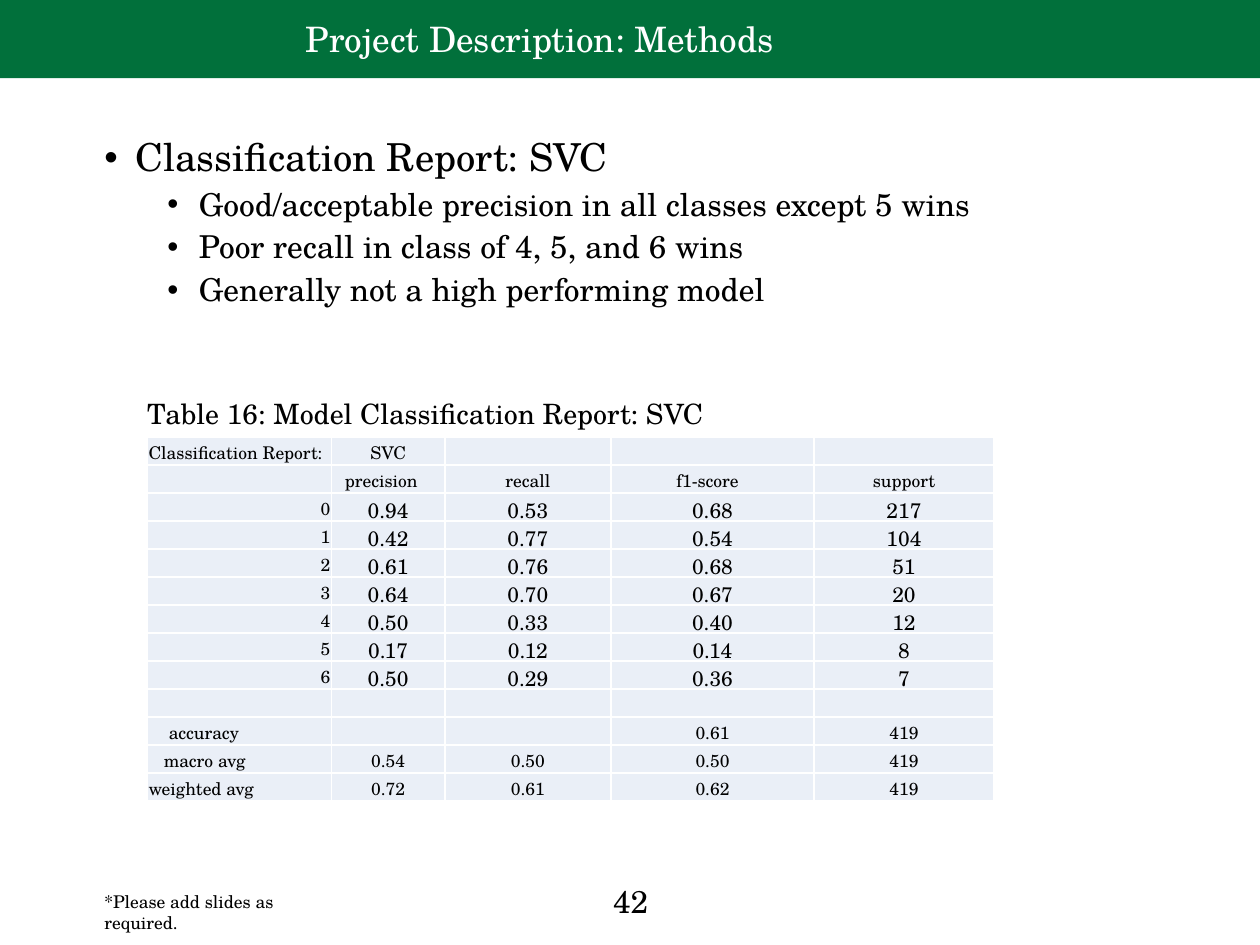
from dataclasses import dataclass

from lxml.etree import SubElement
from pptx import Presentation
from pptx.dml.color import RGBColor as Color
from pptx.enum.shapes import MSO_SHAPE as Shape
from pptx.enum.text import MSO_ANCHOR as Anchor, PP_ALIGN as Align
from pptx.oxml.ns import qn
from pptx.util import Inches, Pt


@dataclass(frozen=True)
class Theme:
    font: str = "TeX Gyre Schola"
    green: Color = Color(0x01, 0x70, 0x3B)
    cell: Color = Color(0xEA, 0xEF, 0xF7)
    white: Color = Color(0xFF, 0xFF, 0xFF)
    black: Color = Color(0, 0, 0)
    title: int = 20
    heading: int = 22
    body: int = 18
    caption: int = 16
    score: int = 12
    small: int = 10


theme = Theme()
deck = Presentation()
deck.slide_width, deck.slide_height = Inches(10), Inches(7.5)
page = deck.slides.add_slide(deck.slide_layouts[6])


def area(left, top, width, height):
    """Turn percentages of the slide's width and height into lengths."""
    across, down = deck.slide_width / 100, deck.slide_height / 100
    return [int(left * across), int(top * down), int(width * across), int(height * down)]


def write(para, text, size, color=theme.black, align=Align.LEFT):
    para.text = text
    para.alignment = align
    for span in para.runs:
        span.font.name = theme.font
        span.font.size = Pt(size)
        span.font.color.rgb = color


# Header band
band = page.shapes.add_shape(Shape.RECTANGLE, *area(0, 0, 100, 8.27))
band.shadow.inherit = False
band.fill.solid()
band.fill.fore_color.rgb = theme.green
band.line.fill.background()

# Single-line texts: place, wording, size, colour, alignment, anchor
texts = [
    ((23.3, 0.13, 76.7, 7.87), "Project Description: Methods",
     theme.title, theme.white, Align.LEFT, Anchor.MIDDLE),
    ((38.8, 92.67, 22.5, 5.33), "42",
     theme.body, theme.black, Align.CENTER, Anchor.TOP),
    ((7.3, 93.6, 20.8, 3.6), "*Please add slides as required.",
     theme.small, theme.black, Align.LEFT, Anchor.TOP),
    ((10.7, 41.33, 69.2, 4.93), "Table 16: Model Classification Report: SVC",
     theme.caption, theme.black, Align.LEFT, Anchor.TOP),
]
for place, text, size, color, align, anchor in texts:
    box = page.shapes.add_textbox(*area(*place))
    box.text_frame.word_wrap = True
    box.text_frame.vertical_anchor = anchor
    write(box.text_frame.paragraphs[0], text, size, color, align)

# Bulleted findings
findings = [
    (0, "Classification Report: SVC"),
    (1, "Good/acceptable precision in all classes except 5 wins"),
    (1, "Poor recall in class of 4, 5, and 6 wins"),
    (1, "Generally not a high performing model"),
]
frame = page.shapes.add_textbox(*area(7.3, 14, 86.7, 74.4)).text_frame
frame.word_wrap = True
for index, (level, text) in enumerate(findings):
    para = frame.add_paragraph() if index else frame.paragraphs[0]
    para.level = level
    para.line_spacing = 0.9
    para.space_before = Pt(5 if index else 0)
    properties = para._p.get_or_add_pPr()
    properties.set("marL", str(Inches(0.25 + 0.5 * level)))
    properties.set("indent", str(Inches(-0.25)))
    SubElement(properties, qn("a:buFont"), typeface="Arial")
    SubElement(properties, qn("a:buChar"), char="•")
    write(para, text, theme.body if level else theme.heading)

# Classification report
report = [
    ["Classification Report:", "SVC", "", "", ""],
    ["", "precision", "recall", "f1-score", "support"],
    ["0", "0.94", "0.53", "0.68", "217"],
    ["1", "0.42", "0.77", "0.54", "104"],
    ["2", "0.61", "0.76", "0.68", "51"],
    ["3", "0.64", "0.70", "0.67", "20"],
    ["4", "0.50", "0.33", "0.40", "12"],
    ["5", "0.17", "0.12", "0.14", "8"],
    ["6", "0.50", "0.29", "0.36", "7"],
    ["", "", "", "", ""],
    ["accuracy", "", "", "0.61", "419"],
    ["macro avg", "0.54", "0.50", "0.50", "419"],
    ["weighted avg", "0.72", "0.61", "0.62", "419"],
]
column_shares = [14.6, 9, 13.2, 16.1, 14.3]
indents = {"accuracy": ("marL", 0.16), "macro avg": ("marL", 0.12),
           "precision": ("marR", 0.11), "f1-score": ("marR", 0.08)}
place = area(11.7, 46.27, sum(column_shares), 38.53)
table = page.shapes.add_table(len(report), len(column_shares), *place).table
table.first_row = table.horz_banding = False
for column, share in zip(table.columns, column_shares):
    column.width = int(deck.slide_width * share / 100)

for row_index, values in enumerate(report):
    table.rows[row_index].height = place[3] // len(report)
    is_class = values[0].isdigit()
    for column_index, text in enumerate(values):
        cell = table.cell(row_index, column_index)
        cell.margin_left = cell.margin_right = cell.margin_top = Inches(0.01)
        cell.margin_bottom = 0
        cell.vertical_anchor = Anchor.BOTTOM
        for side in ("lnL", "lnR", "lnT", "lnB"):
            border = SubElement(cell._tc.get_or_add_tcPr(), qn(f"a:{side}"), w=str(Pt(1)))
            paint = SubElement(border, qn("a:solidFill"))
            SubElement(paint, qn("a:srgbClr"), val=str(theme.white))
        cell.fill.solid()
        cell.fill.fore_color.rgb = theme.cell

        para = cell.text_frame.paragraphs[0]
        if not text:
            SubElement(para._p, qn("a:endParaRPr"), sz=str(theme.small * 100))
            continue
        if column_index:
            align = Align.CENTER
        else:
            align = Align.RIGHT if is_class else Align.LEFT
        size = theme.score if is_class and column_index else theme.small
        write(para, text, size, align=align)
        if text in indents:
            side, indent = indents[text]
            para._p.get_or_add_pPr().set(side, str(Inches(indent)))

deck.save("out.pptx")
